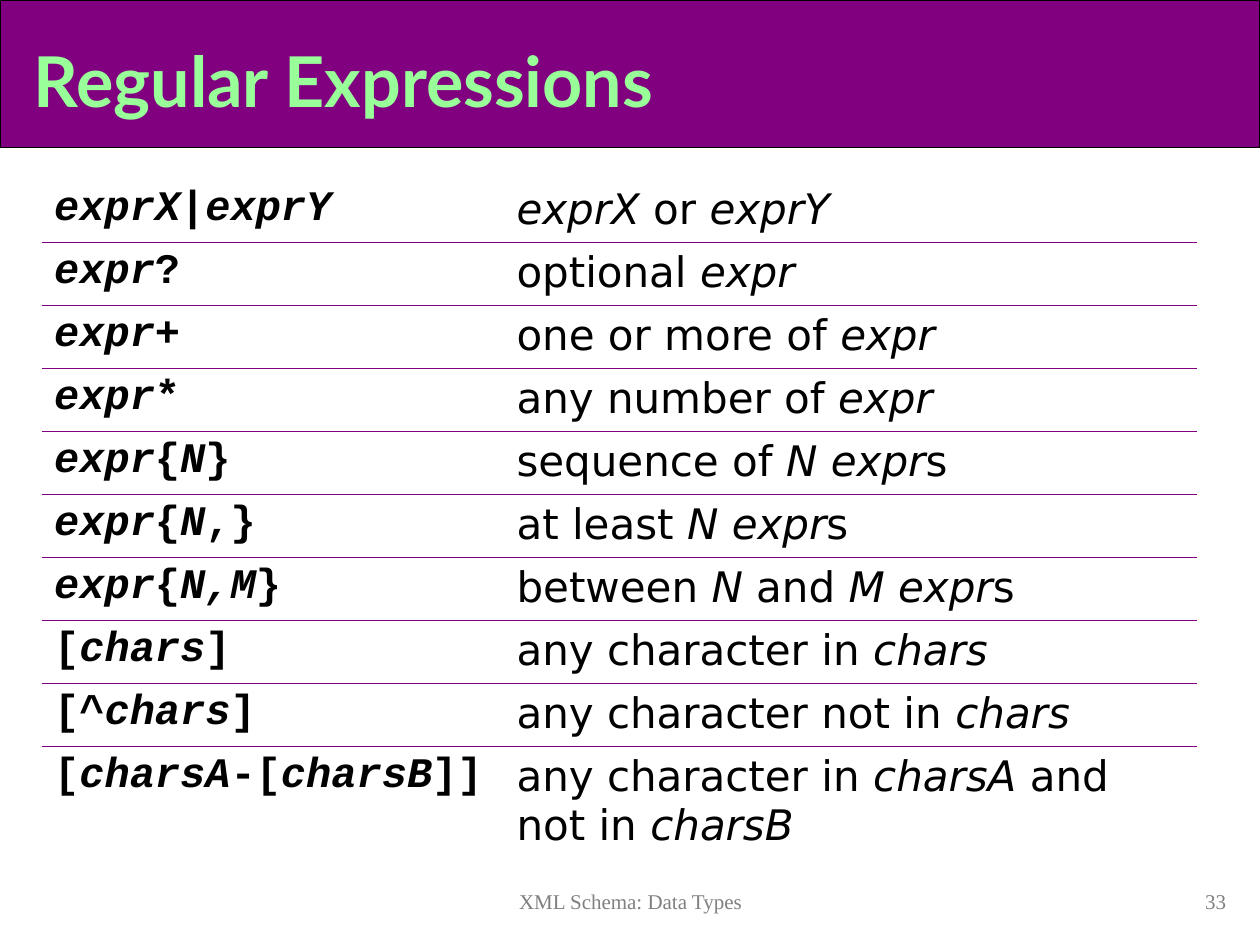
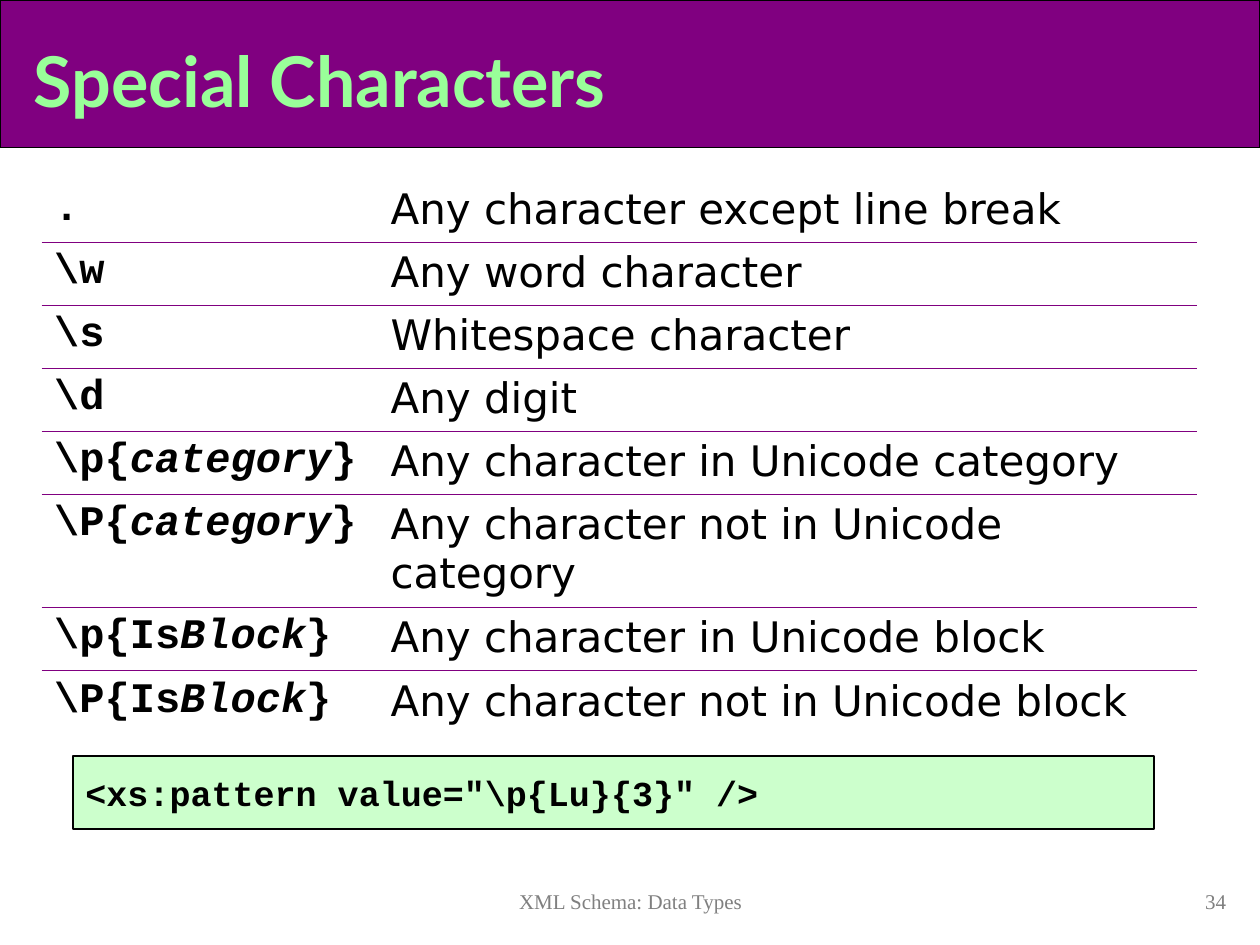
import dataclasses
import typing

import lxml.etree
import pptx
import pptx.dml.color
import pptx.enum.shapes
import pptx.enum.text
import pptx.oxml.ns
import pptx.util

Inches = pptx.util.Inches
Pt = pptx.util.Pt
PP_ALIGN = pptx.enum.text.PP_ALIGN

COLOURS = {
    "band": "800080",
    "title": "99FF99",
    "text": "000000",
    "footer": "808080",
    "example": "CCFFCC",
}
CODE_FONT = "Courier New"
PROSE_FONT = "DejaVu Sans"
FOOTER = "XML Schema: Data Types"
ROW_HEIGHT = 0.5
TALL_ROW_HEIGHT = 0.87


@dataclasses.dataclass(frozen=True)
class Style:
    font: str
    size: int
    colour: str = "text"
    bold: bool = False


TITLE_STYLE = Style("Lato", 40, "title", True)
FOOTER_STYLE = Style("Times New Roman", 12, "footer")
SYNTAX_STYLE = Style(CODE_FONT, 24, bold=True)
MEANING_STYLE = Style(PROSE_FONT, 24)
EXAMPLE_STYLE = Style(CODE_FONT, 20, bold=True)


class Rule(typing.NamedTuple):
    syntax: str
    meaning: str
    height: float = ROW_HEIGHT


@dataclasses.dataclass(frozen=True)
class Reference:
    title: str
    number: int
    syntax_width: float
    rules: list[Rule]
    example: str = ""


# Content: underscores enclose the italic parts
REFERENCES = [
    Reference("Regular Expressions", 33, 3.67, [
        Rule("_exprX_|_exprY_", "_exprX_ or _exprY_"),
        Rule("_expr_?", "optional _expr_"),
        Rule("_expr_+", "one or more of _expr_"),
        Rule("_expr_*", "any number of _expr_"),
        Rule("_expr_{_N_}", "sequence of _N expr_s"),
        Rule("_expr_{_N_,}", "at least _N expr_s"),
        Rule("_expr_{_N,M_}", "between _N_ and _M expr_s"),
        Rule("[_chars_]", "any character in _chars_"),
        Rule("[^_chars_]", "any character not in _chars_"),
        Rule("[_charsA_-[_charsB_]]",
             "any character in _charsA_ and not in _charsB_", TALL_ROW_HEIGHT),
    ]),
    Reference("Special Characters", 34, 2.67, [
        Rule(".", "Any character except line break"),
        Rule(r"\w", "Any word character"),
        Rule(r"\s", "Whitespace character"),
        Rule(r"\d", "Any digit"),
        Rule(r"\p{_category_}", "Any character in Unicode category"),
        Rule(r"\P{_category_}", "Any character not in Unicode category", TALL_ROW_HEIGHT),
        Rule(r"\p{Is_Block_}", "Any character in Unicode block"),
        Rule(r"\P{Is_Block_}", "Any character not in Unicode block"),
    ], r'<xs:pattern value="\p{Lu}{3}" />'),
]


def colour(name: str) -> pptx.dml.color.RGBColor:
    return pptx.dml.color.RGBColor.from_string(COLOURS[name])


def write(paragraph, text: str, style: Style) -> None:
    """Write text, switching italics at each underscore."""
    for index, part in enumerate(text.split("_")):
        if not part:
            continue
        run = paragraph.add_run()
        run.text = part
        run.font.name = style.font
        run.font.size = Pt(style.size)
        run.font.bold = style.bold
        run.font.italic = index % 2 == 1
        run.font.color.rgb = colour(style.colour)


def add_label(slide, left: float, top: float, width: float, height: float,
              text: str, style: Style, align=PP_ALIGN.LEFT,
              anchor=pptx.enum.text.MSO_ANCHOR.TOP) -> None:
    frame = slide.shapes.add_textbox(
        Inches(left), Inches(top), Inches(width), Inches(height)).text_frame
    frame.word_wrap = True
    frame.vertical_anchor = anchor
    frame.paragraphs[0].alignment = align
    write(frame.paragraphs[0], text, style)


def add_box(slide, left: float, top: float, width: float, height: float, fill: str):
    box = slide.shapes.add_shape(
        pptx.enum.shapes.MSO_SHAPE.RECTANGLE,
        Inches(left), Inches(top), Inches(width), Inches(height))
    box.shadow.inherit = False
    box.fill.solid()
    box.fill.fore_color.rgb = colour(fill)
    box.line.color.rgb = colour("text")
    box.line.width = Pt(0.75)
    return box


def set_borders(cell, above: bool, below: bool) -> None:
    """Rule only the chosen horizontal edges of a cell."""
    qn = pptx.oxml.ns.qn
    properties = cell._tc.get_or_add_tcPr()
    edges = {"lnL": False, "lnR": False, "lnT": above, "lnB": below}
    for position, (edge, ruled) in enumerate(edges.items()):
        line = lxml.etree.Element(qn(f"a:{edge}"), w=str(Pt(0.45)))
        if ruled:
            fill = lxml.etree.SubElement(line, qn("a:solidFill"))
            lxml.etree.SubElement(fill, qn("a:srgbClr"), val=COLOURS["band"])
        else:
            lxml.etree.SubElement(line, qn("a:noFill"))
        properties.insert(position, line)


def add_rules(slide, rules: list[Rule], syntax_width: float) -> None:
    width = 9.17
    total = sum(rule.height for rule in rules)
    table = slide.shapes.add_table(
        len(rules), 2, Inches(0.33), Inches(1.42), Inches(width), Inches(total)).table
    table.first_row = table.horz_banding = False
    table.columns[0].width = Inches(syntax_width)
    table.columns[1].width = Inches(width - syntax_width)
    for row, rule in enumerate(rules):
        table.rows[row].height = Inches(rule.height)
        entries = [(rule.syntax, SYNTAX_STYLE), (rule.meaning, MEANING_STYLE)]
        for column, (text, style) in enumerate(entries):
            cell = table.cell(row, column)
            cell.fill.background()
            set_borders(cell, above=row > 0, below=row < len(rules) - 1)
            paragraph = cell.text_frame.paragraphs[0]
            paragraph.space_before = Pt(6)
            write(paragraph, text, style)


def add_example(slide, code: str) -> None:
    box = add_box(slide, 0.58, 6, 8.58, 0.58, "example")
    box.text_frame.word_wrap = False
    box.text_frame.vertical_anchor = pptx.enum.text.MSO_ANCHOR.MIDDLE
    paragraph = box.text_frame.paragraphs[0]
    paragraph.alignment = PP_ALIGN.LEFT
    write(paragraph, code, EXAMPLE_STYLE)


def add_reference(deck, reference: Reference) -> None:
    slide = deck.slides.add_slide(deck.slide_layouts[6])
    # Title band
    add_box(slide, 0, 0, 10, 1.17, "band")
    add_label(slide, 0.17, 0.17, 9.58, 0.92, reference.title, TITLE_STYLE,
              anchor=pptx.enum.text.MSO_ANCHOR.MIDDLE)
    # Body
    add_rules(slide, reference.rules, reference.syntax_width)
    if reference.example:
        add_example(slide, reference.example)
    # Footer
    add_label(slide, 2.42, 7, 5.17, 0.33, FOOTER, FOOTER_STYLE, PP_ALIGN.CENTER)
    add_label(slide, 7.75, 7, 2.08, 0.33, str(reference.number), FOOTER_STYLE,
              PP_ALIGN.RIGHT)


def main() -> None:
    deck = pptx.Presentation()
    deck.slide_width = Inches(10)
    deck.slide_height = Inches(7.5)
    for reference in REFERENCES:
        add_reference(deck, reference)
    deck.save("out.pptx")


if __name__ == "__main__":
    main()
